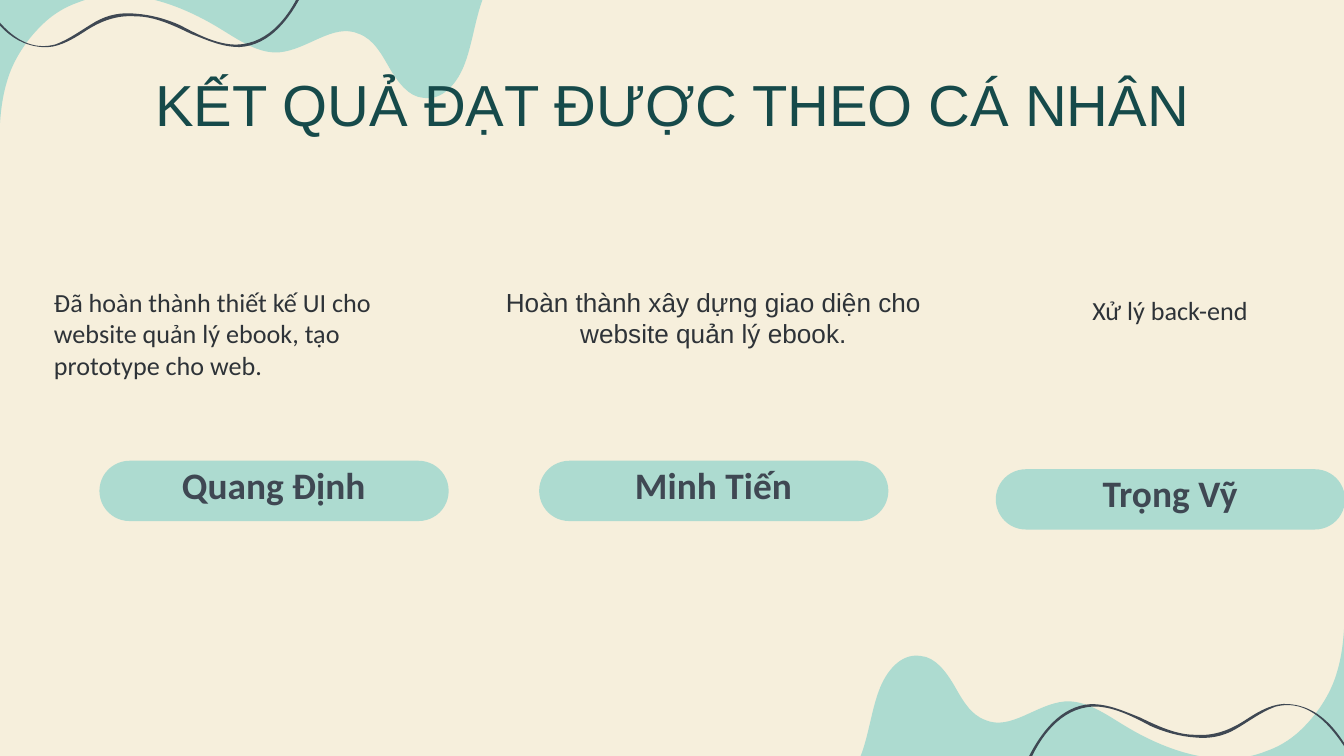
from lxml import etree
from pptx import Presentation
from pptx.dml.color import RGBColor
from pptx.enum import shapes, text
from pptx.oxml import ns
from pptx.util import Cm, Pt

MINT = "ADDBD0"
SLATE = "3F4853"

BLOB_START = (0, 3.98)
BLOB_CURVES = [
    ((0.13, 3.3), (0.02, 2.54), (0.23, 1.85)),
    ((0.35, 1.42), (0.63, 1.01), (0.96, 0.71)),
    ((1.14, 0.55), (1.34, 0.43), (1.57, 0.35)),
    ((2.44, 0), (3.45, 0.35), (4.24, 0.83)),
    ((4.62, 1.06), (4.98, 1.32), (5.38, 1.29)),
    ((5.92, 1.24), (6.4, 0.73), (6.88, 0.94)),
    ((7.16, 1.04), (7.31, 1.32), (7.47, 1.6)),
    ((7.62, 1.85), (7.82, 2.13), (8.1, 2.15)),
    ((8.48, 2.21), (8.76, 1.85), (8.89, 1.49)),
    ((9.04, 1.09), (9.09, 0.58), (9.27, 0.17)),
]
BLOB_CORNERS = [(0, 0.17)]

WAVE_START = (0.05, 1.19)
WAVE_CURVES = [
    ((0.28, 0.68), (0.71, 0.15), (1.35, 0.2)),
    ((1.68, 0.23), (2.01, 0.4), (2.31, 0.56)),
    ((2.57, 0.68), (2.87, 0.76), (3.15, 0.78)),
    ((3.43, 0.81), (3.68, 0.76), (3.91, 0.63)),
    ((4.17, 0.48), (4.4, 0.3), (4.67, 0.2)),
    ((5.41, 0), (5.89, 0.78), (6.2, 1.32)),
    ((6.2, 1.34), (6.25, 1.34), (6.22, 1.32)),
    ((5.94, 0.78), (5.59, 0.2), (4.93, 0.15)),
    ((4.65, 0.12), (4.37, 0.28), (4.14, 0.43)),
    ((3.84, 0.63), (3.53, 0.76), (3.15, 0.73)),
    ((2.8, 0.73), (2.44, 0.56), (2.11, 0.4)),
    ((1.8, 0.28), (1.53, 0.15), (1.19, 0.15)),
    ((0.61, 0.18), (0.23, 0.71), (0, 1.17)),
    ((0, 1.19), (0.03, 1.22), (0.05, 1.19)),
]


def colour(value):
    return RGBColor.from_string(value)


def paint(shape, value):
    shape.shadow.inherit = False
    shape.fill.solid()
    shape.fill.fore_color.rgb = colour(value)
    shape.line.fill.background()


def bend_segments(shape, curve_count):
    lines = list(shape.element.iter(ns.qn("a:lnTo")))
    for index in range(0, 3 * curve_count, 3):
        curve = etree.Element(ns.qn("a:cubicBezTo"))
        lines[index].addprevious(curve)
        for line in lines[index:index + 3]:
            curve.append(line[0])
            line.getparent().remove(line)


def add_outline(slide, box, outline, fill, turned):
    left, top, width, height = box
    start, curves, corners = outline
    points = [start] + [point for curve in curves for point in curve] + corners
    if turned:
        points = [(width - x, height - y) for x, y in points]
    places = [(Cm(left + x), Cm(top + y)) for x, y in points]
    builder = slide.shapes.build_freeform(*places[0])
    builder.add_line_segments(places[1:], close=True)
    shape = builder.convert_to_shape()
    bend_segments(shape, len(curves))
    paint(shape, fill)


def add_text(slide, box, words, font, align=text.PP_ALIGN.CENTER, spacing=None):
    frame = slide.shapes.add_textbox(*map(Cm, box)).text_frame
    settings = {
        "word_wrap": True,
        "vertical_anchor": text.MSO_ANCHOR.TOP,
        "margin_left": 0,
        "margin_right": 0,
        "margin_top": 0,
        "margin_bottom": 0,
    }
    for name, value in settings.items():
        setattr(frame, name, value)
    paragraph = frame.paragraphs[0]
    paragraph.alignment = align
    paragraph.line_spacing = spacing
    run = paragraph.add_run()
    run.text = words
    for name, value in font.items():
        if name == "colour":
            run.font.color.rgb = colour(value)
        else:
            setattr(run.font, name, value)


def add_decoration(slide):
    blob = (BLOB_START, BLOB_CURVES, BLOB_CORNERS)
    wave = (WAVE_START, WAVE_CURVES, [])
    for box, outline, fill, turned in [
        ((-0.1, -0.3, 9.27, 3.98), blob, MINT, False),
        ((16.23, 10.57, 9.27, 3.98), blob, MINT, True),
        ((19.43, 13.16, 6.25, 1.34), wave, SLATE, False),
        ((-0.53, -0.3, 6.25, 1.34), wave, SLATE, True),
    ]:
        add_outline(slide, box, outline, fill, turned)


def add_member(slide, box, name, result, typeface, align, result_width):
    left, top, width = box
    pill = slide.shapes.add_shape(
        shapes.MSO_SHAPE.ROUNDED_RECTANGLE,
        Cm(left + 0.86), Cm(top + 3.3), Cm(6.6), Cm(1.14),
    )
    pill.adjustments[0] = 0.5
    paint(pill, MINT)
    result_font = {"name": typeface, "size": Pt(14), "colour": "2E3338"}
    name_font = {"name": "Calibri", "size": Pt(20), "bold": True, "colour": SLATE}
    add_text(slide, (left, top, result_width, 2.92), result, result_font, align)
    add_text(slide, (left, top + 3.49, width, 0.76), name, name_font, spacing=0.8)


def add_results_slide(presentation):
    slide = presentation.slides.add_slide(presentation.slide_layouts[6])
    slide.background.fill.solid()
    slide.background.fill.fore_color.rgb = colour("F6EFDC")
    add_decoration(slide)
    title_font = {"name": "Arial", "size": Pt(31), "colour": "164A4A"}
    add_text(slide, (1.98, 1.3, 21.44, 1.27), "KẾT QUẢ ĐẠT ĐƯỢC THEO CÁ NHÂN", title_font)
    left, center = text.PP_ALIGN.LEFT, text.PP_ALIGN.CENTER
    for box, *member in [
        ((1.02, 5.41, 8.31), "Quang Định",
         "Đã hoàn thành thiết kế UI cho website quản lý ebook, tạo prototype cho web.",
         "Calibri", left, 7.34),
        ((9.33, 5.41, 8.31), "Minh Tiến",
         "Hoàn thành xây dựng giao diện cho website quản lý ebook.",
         "Arial", center, 8.31),
        ((17.96, 5.57, 8.31), "Trọng Vỹ", "Xử lý back-end", "Calibri", center, 8.31),
    ]:
        add_member(slide, box, *member)


def main():
    presentation = Presentation()
    presentation.slide_width = Cm(25.4)
    presentation.slide_height = Cm(14.29)
    add_results_slide(presentation)
    presentation.save("out.pptx")


if __name__ == "__main__":
    main()
